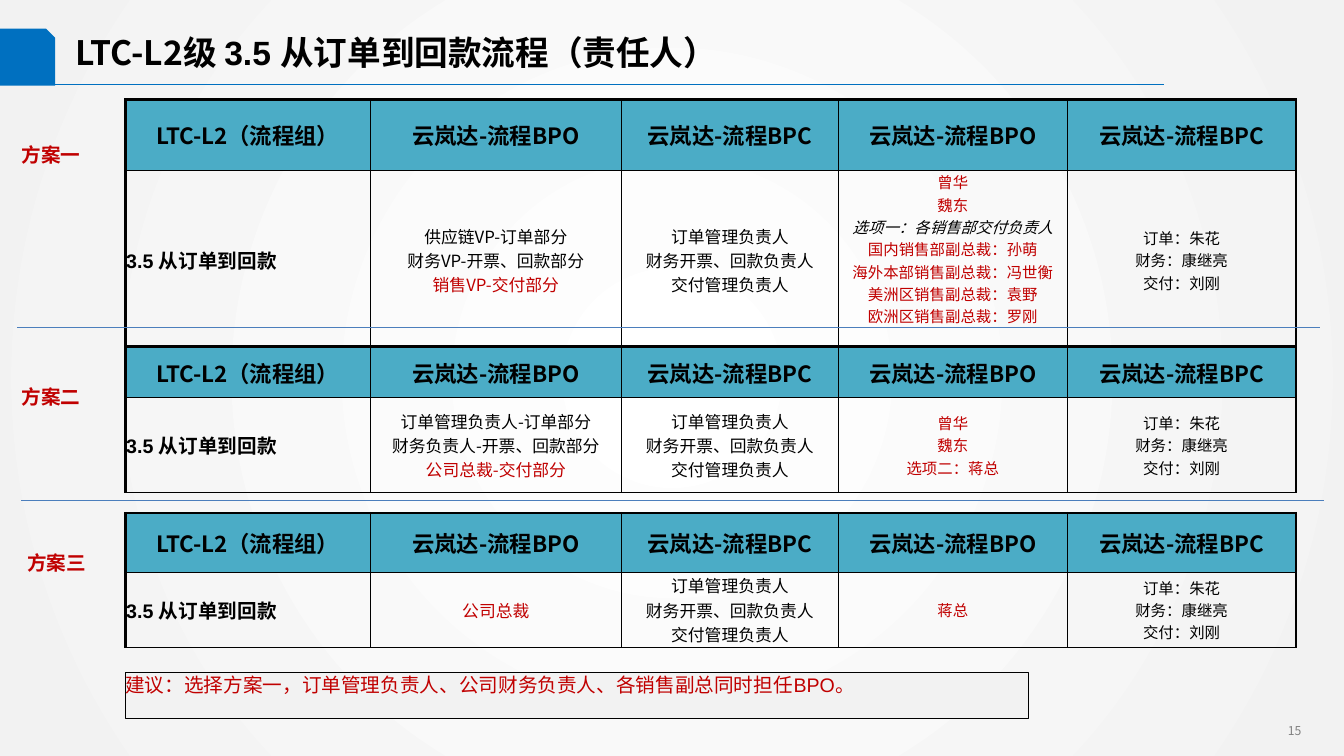
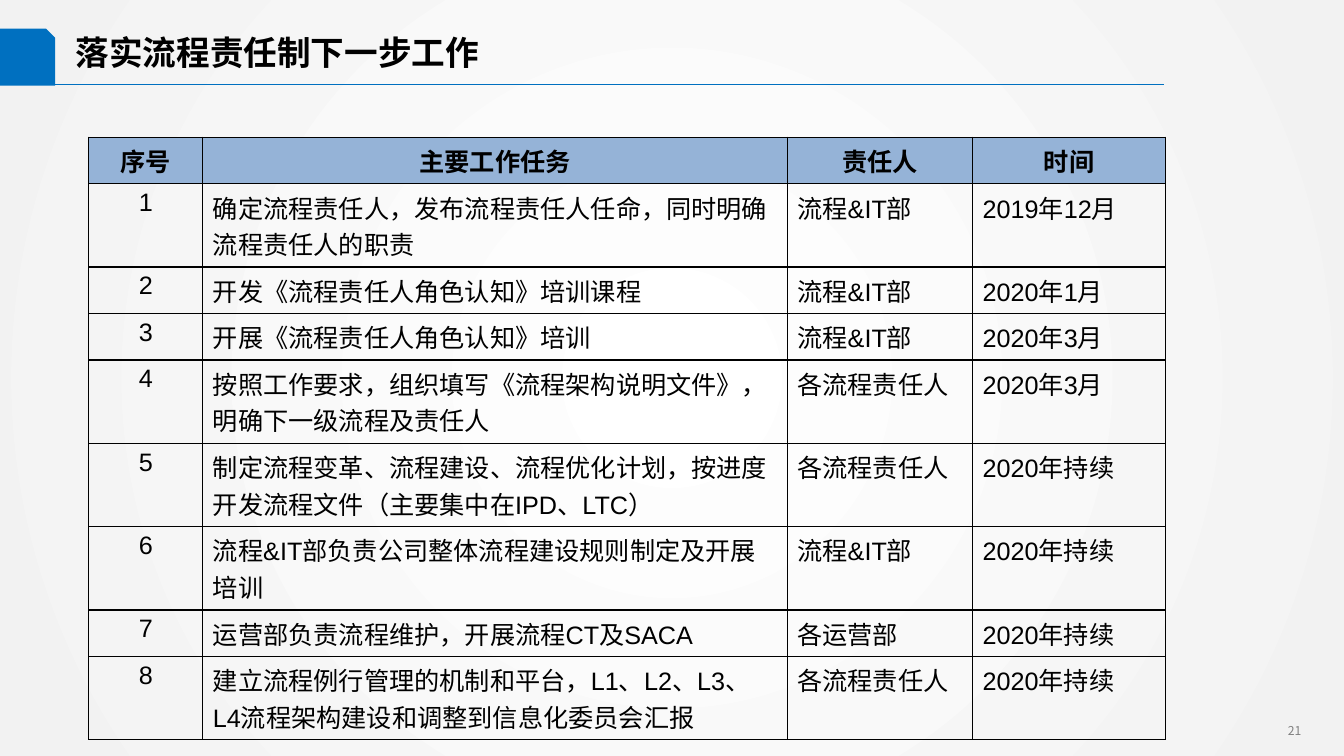
from lxml.etree import SubElement
from pptx import Presentation
from pptx.dml.color import RGBColor
from pptx.enum.shapes import MSO_CONNECTOR, MSO_SHAPE
from pptx.enum.text import MSO_ANCHOR as ANCHOR, PP_ALIGN as ALIGN
from pptx.oxml.ns import qn
from pptx.util import Cm, Pt

rgb = RGBColor.from_string
BLACK, RED, BLUE, GREY = "000000", "C00000", "0070C0", "808080"
TEAL, PALE_BLUE, LIGHT, DIVIDER = "4BACC6", "95B3D7", "F2F2F2", "4B7EBC"
LATIN, CJK = "Arial", "Noto Sans CJK SC"


def write(frame, text, size, font=LATIN, bold=False, align=ALIGN.LEFT, colour=BLACK):
    """Fill a text frame; text is a string or a list of (colour, line) pairs."""
    lines = [(colour, text)] if isinstance(text, str) else text
    for i, (line_colour, line) in enumerate(lines):
        paragraph = frame.add_paragraph() if i else frame.paragraphs[0]
        paragraph.text, paragraph.alignment = line, align
        paragraph.font.size, paragraph.font.bold = Pt(size), bold
        paragraph.font.color.rgb = rgb(line_colour)
        paragraph.font.name = font
        SubElement(paragraph._p.pPr.find(qn("a:defRPr")), qn("a:ea"), typeface=CJK)


def dress(cell, fill=None, left=0.5, right=0.5, top=0.5, bottom=0.5):
    """Give a cell black borders of the given widths, and a fill or none."""
    props = cell._tc.get_or_add_tcPr()
    for tag, width in (("lnL", left), ("lnR", right), ("lnT", top), ("lnB", bottom)):
        border = SubElement(props, qn("a:" + tag), w=str(Pt(width)))
        SubElement(SubElement(border, qn("a:solidFill")), qn("a:srgbClr"), val=BLACK)
    if fill:
        cell.fill.solid()
        cell.fill.fore_color.rgb = rgb(fill)
    else:
        cell.fill.background()


prs = Presentation()
prs.slide_width, prs.slide_height = Cm(33.87), Cm(19.05)

# Shared background: white centre fading to light grey
background = prs.slide_master.background.fill
background.gradient()
for stop, colour in zip(background.gradient_stops, ("FFFFFF", LIGHT)):
    stop.color.rgb = rgb(colour)
    stop.position = 0 if colour == "FFFFFF" else 1
gradient = prs.slide_master.element.find(".//" + qn("a:gradFill"))
gradient.remove(gradient.find(qn("a:lin")))
circle = SubElement(gradient, qn("a:path"), path="circle")
SubElement(circle, qn("a:fillToRect"), l="50000", t="50000", r="50000", b="50000")

# Shared title place
layout = prs.slide_layouts[5]
heading = layout.placeholders[0]
heading.left, heading.top, heading.width, heading.height = Cm(1.91), Cm(0.58), Cm(27.8), Cm(1.47)
heading.text_frame.margin_left = heading.text_frame.margin_right = 0
heading.text_frame.margin_top = heading.text_frame.margin_bottom = 0
heading.text_frame.vertical_anchor = ANCHOR.MIDDLE

# Slides with title and page number
slides = []
for title, page in (("LTC-L2级 ", "15"), ("落实流程责任制下一步工作", "21")):
    slide = prs.slides.add_slide(layout)
    write(slide.shapes.title.text_frame, title, 24, CJK, True)
    number = slide.shapes.add_textbox(Cm(30.45), Cm(18.1), Cm(2.6), Cm(0.9)).text_frame
    number.word_wrap = True
    write(number, page, 8.7, CJK, align=ALIGN.RIGHT, colour=GREY)
    slides.append(slide)
owners, tasks = slides

# Slide 1: rest of the title
owners_title = owners.shapes.title.text_frame.paragraphs[0]
for part, font in (("3.5 从订单到回款", LATIN), ("流程（责任人）", CJK)):
    run = owners_title.add_run()
    run.text, run.font.name = part, font

# Slide 1: three options, each a label and a table
HEADERS = ["LTC-L2（流程组）"] + ["云岚达-流程BPO", "云岚达-流程BPC"] * 2
OWNER_COLS = (6.17, 6.33, 5.47, 5.77, 5.76)
controllers = [(BLACK, "订单管理负责人"), (BLACK, "财务开票、回款负责人"), (BLACK, "交付管理负责人")]
named_controllers = [(BLACK, "订单：朱花"), (BLACK, "财务：康继亮"), (BLACK, "交付：刘刚")]
options = [
    ("方案一", 0.29, 3.48, 2.51, (1.77, 4.53),
     [(BLACK, "供应链VP-订单部分"), (BLACK, "财务VP-开票、回款部分"), (RED, "销售VP-交付部分")],
     [(RED, "曾华"), (RED, "魏东"), (BLACK, "选项一：各销售部交付负责人"),
      (RED, "国内销售部副总裁：孙萌"), (RED, "海外本部销售副总裁：冯世衡"),
      (RED, "美洲区销售副总裁：袁野"), (RED, "欧洲区销售副总裁：罗刚")]),
    ("方案二", 0.29, 9.58, 8.74, (1.27, 2.39),
     [(BLACK, "订单管理负责人-订单部分"), (BLACK, "财务负责人-开票、回款部分"), (RED, "公司总裁-交付部分")],
     [(RED, "曾华"), (RED, "魏东"), (RED, "选项二：蒋总")]),
    ("方案三", 0.44, 13.77, 12.93, (1.48, 1.89), [(RED, "公司总裁")], [(RED, "蒋总")]),
]
for name, label_left, label_top, top, heights, roles, people in options:
    table = owners.shapes.add_table(2, 5, Cm(3.16), Cm(top), Cm(sum(OWNER_COLS)), Cm(sum(heights))).table
    table.first_row = table.horz_banding = False
    for row, height in zip(table.rows, heights):
        row.height = Cm(height)
    contents = ["3.5 从订单到回款", roles, controllers, people, named_controllers]
    for c, width in enumerate(OWNER_COLS):
        table.columns[c].width = Cm(width)
        header, body = table.cell(0, c), table.cell(1, c)
        edges = {"left": 0.5 if c else 2.25, "right": 2.25 if c == 4 else 0.5}
        dress(header, TEAL, top=2.25, **edges)
        dress(body, **edges)
        for cell in (header, body):
            cell.vertical_anchor = ANCHOR.MIDDLE
            cell.margin_left = cell.margin_right = cell.margin_top = Cm(0.02)
            cell.margin_bottom = 0
        write(header.text_frame, HEADERS[c], 16, CJK, True, ALIGN.CENTER)
        if c == 0:
            write(body.text_frame, contents[c], 14, LATIN, True)
        else:
            write(body.text_frame, contents[c], 12 if c < 3 else 11, CJK, align=ALIGN.CENTER)
    if name == "方案一":
        people_cell = table.cell(1, 3)
        people_cell.margin_bottom = Cm(0.56)
        people_cell.text_frame.paragraphs[2].font.italic = True
    label = owners.shapes.add_textbox(Cm(label_left), Cm(label_top), Cm(2), Cm(0.86)).text_frame
    label.word_wrap = False
    write(label, name, 14, LATIN, True, colour=RED)

# Slide 1: advice box
advice = owners.shapes.add_shape(MSO_SHAPE.RECTANGLE, Cm(3.16), Cm(16.95), Cm(22.76), Cm(1.15))
advice.shadow.inherit = False
advice.fill.solid()
advice.fill.fore_color.rgb = rgb(LIGHT)
advice.line.color.rgb, advice.line.width = rgb(BLACK), Pt(0.75)
advice_text = advice.text_frame
advice_text.margin_left = advice_text.margin_right = 0
advice_text.margin_top = advice_text.margin_bottom = 0
advice_text.vertical_anchor = ANCHOR.TOP
write(advice_text, "建议：选择方案一，订单管理负责人、公司财务负责人、各销售副总同时担任BPO。", 14, colour=RED)

# Title rule and the dividers between options
rules = []
for start, end, y, colour in ((1.35, 29.34, 2.13, BLUE), (0.43, 33.27, 8.25, DIVIDER),
                              (0.53, 33.37, 12.6, DIVIDER)):
    rule = owners.shapes.add_connector(MSO_CONNECTOR.STRAIGHT, Cm(start), Cm(y), Cm(end), Cm(y))
    rule.line.color.rgb, rule.line.width = rgb(colour), Pt(0.75)
    SubElement(rule.element.spPr, qn("a:effectLst"))
    rules.append(rule)

# Title tab, which goes to the layout together with the title rule
tab = owners.shapes.add_shape(MSO_SHAPE.SNIP_1_RECTANGLE, 0, Cm(0.72), Cm(1.39), Cm(1.44))
tab.shadow.inherit = False
tab.fill.solid()
tab.fill.fore_color.rgb = rgb(BLUE)
tab.line.fill.background()
for shared in (tab, rules[0]):
    layout.shapes.element.append(shared.element)

# Slide 2: task table; long tasks take two lines
TASK_COLS = (2.87, 14.73, 4.67, 4.86)
ONE_LINE, TWO_LINES, LINE_CHARS = 1.17, 2.1, 22
task_rows = [
    ("序号", "主要工作任务", "责任人", "时间"),
    ("1", "确定流程责任人，发布流程责任人任命，同时明确流程责任人的职责", "流程&IT部", "2019年12月"),
    ("2", "开发《流程责任人角色认知》培训课程", "流程&IT部", "2020年1月"),
    ("3", "开展《流程责任人角色认知》培训", "流程&IT部", "2020年3月"),
    ("4", "按照工作要求，组织填写《流程架构说明文件》，明确下一级流程及责任人", "各流程责任人", "2020年3月"),
    ("5", "制定流程变革、流程建设、流程优化计划，按进度开发流程文件（主要集中在IPD、LTC）",
     "各流程责任人", "2020年持续"),
    ("6", "流程&IT部负责公司整体流程建设规则制定及开展培训", "流程&IT部", "2020年持续"),
    ("7", "运营部负责流程维护，开展流程CT及SACA", "各运营部", "2020年持续"),
    ("8", "建立流程例行管理的机制和平台，L1、L2、L3、L4流程架构建设和调整到信息化委员会汇报",
     "各流程责任人", "2020年持续"),
]
task_heights = [TWO_LINES if len(entries[1]) > LINE_CHARS else ONE_LINE for entries in task_rows]
plan = tasks.shapes.add_table(len(task_rows), 4, Cm(2.24), Cm(3.46), Cm(sum(TASK_COLS)),
                              Cm(sum(task_heights))).table
plan.first_row = plan.horz_banding = False
for column, width in zip(plan.columns, TASK_COLS):
    column.width = Cm(width)
for r, entries in enumerate(task_rows):
    plan.rows[r].height = Cm(task_heights[r])
    for c, entry in enumerate(entries):
        cell = plan.cell(r, c)
        dress(cell, None if r else PALE_BLUE, 1, 1, 1, 1)
        centred = r == 0 or c == 0
        write(cell.text_frame, entry, 18, bold=r == 0, align=ALIGN.CENTER if centred else ALIGN.LEFT)

prs.save("out.pptx")
